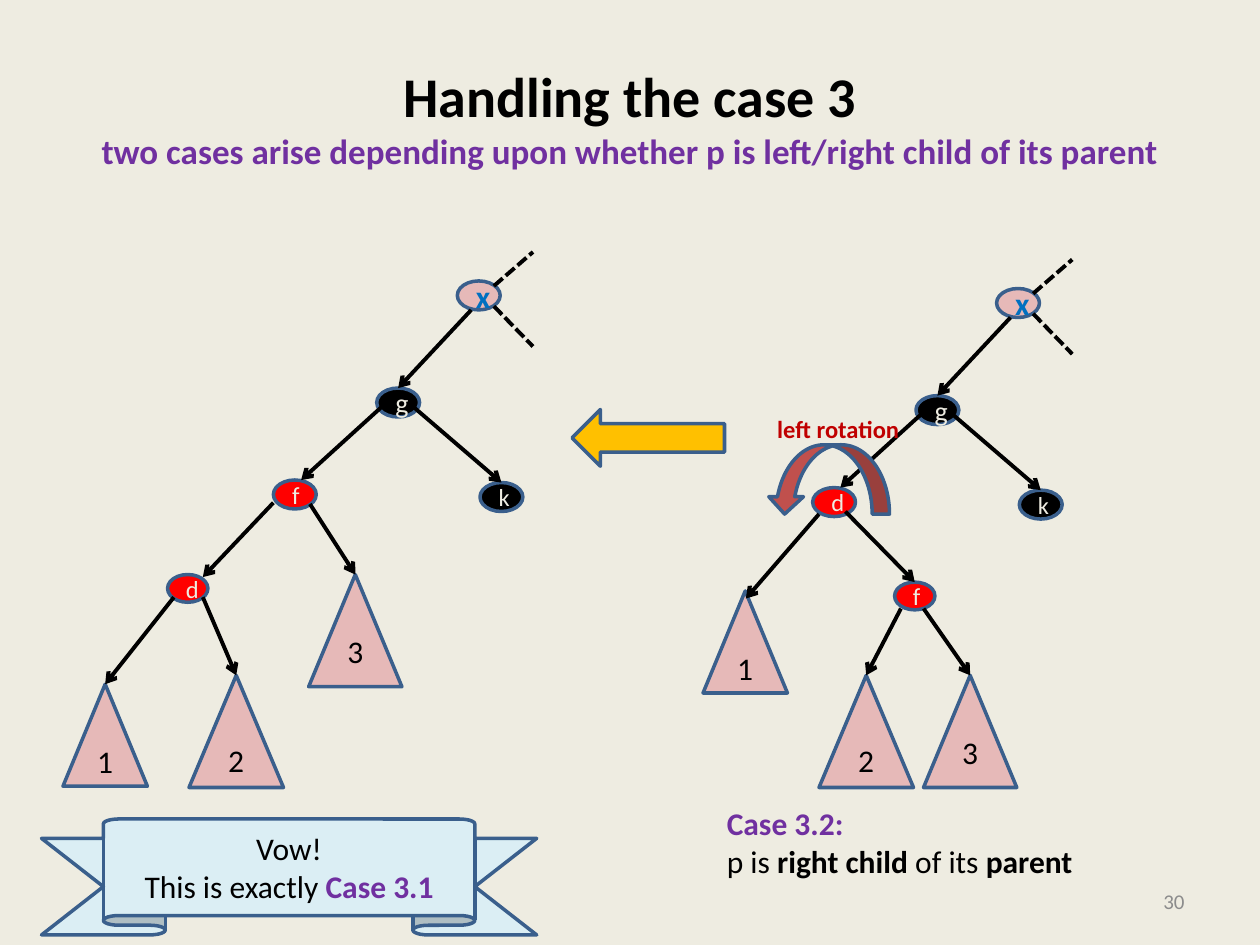
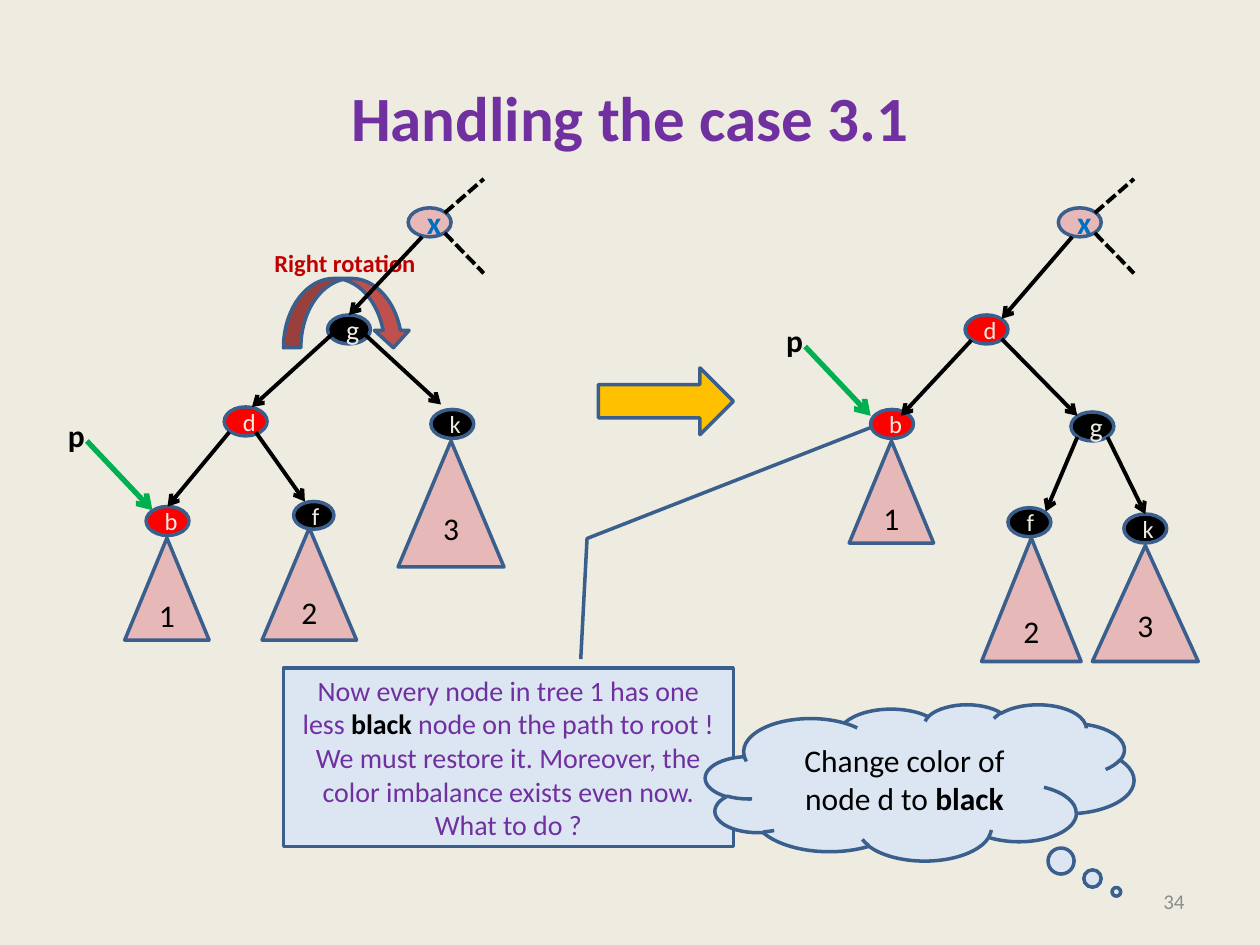
from lxml import etree
from pptx import Presentation
from pptx.dml.color import RGBColor
from pptx.enum import dml, shapes, text
from pptx.oxml.ns import qn
from pptx.util import Inches, Pt

COLORS = {
    "background": "EEECE1", "outline": "3A5F8C", "ink": "000000",
    "red": "FF0000", "pink": "E6B9B8", "purple": "7030A0",
    "root": "0070C0", "pointer": "00B050", "arrow": "FFC000",
    "rotation": "C0504D", "rotation label": "C00000",
    "ribbon": "DBEEF4", "callout": "DCE6F2", "number": "8C8C8C",
}
SHAPE = shapes.MSO_SHAPE
CENTER, LEFT, RIGHT = text.PP_ALIGN.CENTER, text.PP_ALIGN.LEFT, text.PP_ALIGN.RIGHT
MIDDLE, TOP = text.MSO_ANCHOR.MIDDLE, text.MSO_ANCHOR.TOP
NODE_SIZE = (0.34, 0.23)


def color(name):
    return RGBColor.from_string(COLORS[name])


def run(words, size=18, ink="ink", bold=False):
    return words, {"name": "Calibri", "size": Pt(size), "bold": bold}, ink


# Text: a list of paragraphs, each a list of runs; None breaks the line
def write(shape, paragraphs, align=CENTER, anchor=MIDDLE, wrap=True):
    frame = shape.text_frame
    frame.word_wrap = wrap
    frame.vertical_anchor = anchor
    for index, runs in enumerate(paragraphs):
        paragraph = frame.add_paragraph() if index else frame.paragraphs[0]
        paragraph.alignment = align
        for item in runs:
            if item is None:
                paragraph.add_line_break()
                continue
            words, values, ink = item
            piece = paragraph.add_run()
            piece.text = words
            for name, value in values.items():
                setattr(piece.font, name, value)
            piece.font.color.rgb = color(ink)


def add_text(slide, box, paragraphs, **layout):
    write(slide.shapes.add_textbox(*map(Inches, box)), paragraphs, **layout)


def add_label(slide, box, paragraphs):
    add_text(slide, box, paragraphs, align=LEFT, anchor=TOP, wrap=False)


def add_figure(slide, kind, box, fill, paragraphs=(), adjustments=()):
    shape = slide.shapes.add_shape(kind, *map(Inches, box))
    shape.shadow.inherit = False
    shape.fill.solid()
    shape.fill.fore_color.rgb = color(fill)
    shape.line.color.rgb = color("outline")
    shape.line.width = Pt(2)
    for index, value in enumerate(adjustments):
        shape.adjustments[index] = value
    write(shape, paragraphs)
    return shape


# Tree parts
def add_node(slide, label, left, top, fill, size=NODE_SIZE):
    if label == "x":
        words = run(label, 18, "root", True)
    else:
        words = run(label, 16 if label == "g" else 14, "background")
    return add_figure(slide, SHAPE.OVAL, (left, top, *size), fill, [[words]])


def add_subtree(slide, label, *box):
    shape = add_figure(slide, SHAPE.ISOSCELES_TRIANGLE, box, "pink", [[run(label)]])
    if label == "3":
        shape.text_frame.margin_bottom = Inches(0.17)
    return shape


def add_edge(slide, start, end, ink="ink", width=2.25, dashed=False):
    """Draw a line to a point, or to the top of a shape."""
    to_point = isinstance(end, tuple)
    edge = slide.shapes.add_connector(
        shapes.MSO_CONNECTOR.STRAIGHT, *map(Inches, start + (end if to_point else start)))
    if not to_point:
        edge.end_connect(end, 0)
    edge.line.color.rgb = color(ink)
    edge.line.width = Pt(width)
    if dashed:
        edge.line.dash_style = dml.MSO_LINE.SQUARE_DOT
    else:
        etree.SubElement(edge.line._get_or_add_ln(), qn("a:tailEnd"), type="arrow")
    etree.SubElement(edge._element.spPr, qn("a:effectLst"))


def add_root(slide, left, top):
    add_node(slide, "x", left, top, "pink")
    for start, end in ((0.04, -0.23), (0.2, 0.52)):
        add_edge(slide, (left + 0.29, top + start), (left + 0.6, top + end), dashed=True)


def add_upper_tree(slide, left, top, child, k_end=None):
    """Root x, its child g, and g's children: a red node and k."""
    add_root(slide, left, top)
    g = add_node(slide, "g", left - 0.64, top + 0.85, "ink")
    add_node(slide, child, left - 1.46, top + 1.58, "red")
    k = add_node(slide, "k", left + 0.18, top + 1.6, "ink")
    add_edge(slide, (left + 0.11, top + 0.23), g)
    add_edge(slide, (left - 0.59, top + 0.99), (left - 1.24, top + 1.58))
    add_edge(slide, (left - 0.36, top + 0.99), k_end or k)


def add_pointer(slide, left, top):
    add_edge(slide, (left + 0.25, top + 0.25), (left + 0.77, top + 0.8), "pointer", 3)
    add_label(slide, (left, top, 0.34, 0.4), [[run("p", bold=True)]])


def add_rotation(slide, words, arrow_box, label_box, flipped=False):
    arrow = add_figure(slide, SHAPE.CURVED_DOWN_ARROW, arrow_box, "rotation")
    if flipped:
        arrow._element.spPr.find(qn("a:xfrm")).set("flipH", "1")
    add_label(slide, label_box, [[run(words, 14, "rotation label", True)]])


def add_slide(presentation, title, number):
    slide = presentation.slides.add_slide(presentation.slide_layouts[6])
    slide.background.fill.solid()
    slide.background.fill.fore_color.rgb = color("background")
    add_text(slide, (0.5, 0.3, 9, 1.25), [title])
    add_text(slide, (7.17, 6.95, 2.33, 0.4), [[run(number, 12, "number")]], align=RIGHT)
    return slide


def build_case_3(presentation):
    subtitle = "two cases arise depending upon whether p is left/right child of its parent"
    slide = add_slide(presentation, [run("Handling the case 3", 32, bold=True), None,
                                     run(subtitle, 20, "purple", True)], "30")
    add_label(slide, (5.67, 6.33, 2.97, 0.71), [
        [run("Case 3.2:", ink="purple", bold=True)],
        [run("p is "), run("right child ", bold=True), run("of its "),
         run("parent", bold=True)]])
    add_figure(slide, SHAPE.LEFT_ARROW, (4.54, 3.25, 1.21, 0.45), "arrow")

    # Tree after the rotation
    add_upper_tree(slide, 3.63, 2.23, "f")
    add_node(slide, "d", 1.33, 4.56, "red", (0.32, 0.22))
    tree_1 = add_subtree(slide, "1", 0.5, 5.43, 0.67, 0.81)
    tree_2 = add_subtree(slide, "2", 1.5, 5.36, 0.75, 0.89)
    tree_3 = add_subtree(slide, "3", 2.45, 4.56, 0.74, 0.89)
    for start, end in (((2.17, 3.99), (1.61, 4.58)), ((1.61, 4.74), tree_2),
                       ((2.46, 4), tree_3), ((1.38, 4.74), tree_1)):
        add_edge(slide, start, end)

    add_figure(slide, SHAPE.UP_RIBBON, (0.33, 6.5, 3.93, 0.92), "ribbon", [
        [run("Vow!")],
        [run("This is exactly "), run("Case 3.1", ink="purple", bold=True)],
    ], (0.167, 0.75))

    # Tree before the rotation
    add_upper_tree(slide, 7.91, 2.29, "d")
    f = add_node(slide, "f", 7.1, 4.62, "red", (0.32, 0.22))
    add_subtree(slide, "1", 5.58, 4.69, 0.67, 0.81)
    tree_2 = add_subtree(slide, "2", 6.5, 5.36, 0.75, 0.89)
    tree_3 = add_subtree(slide, "3", 7.33, 5.36, 0.74, 0.89)
    for start, end in (((6.71, 4.06), f), ((6.5, 4.08), (5.92, 4.75)),
                       ((7.15, 4.83), tree_2), ((7.33, 4.83), tree_3)):
        add_edge(slide, start, end)
    add_rotation(slide, "left rotation", (6.09, 3.53, 0.97, 0.55),
                 (6.07, 3.24, 1.18, 0.34), flipped=True)


def build_case_3_1(presentation):
    slide = add_slide(presentation,
                      [run("Handling the case 3.1", 36, "purple", True)], "34")
    add_figure(slide, SHAPE.RIGHT_ARROW, (4.75, 2.92, 1.07, 0.53), "arrow")
    add_rotation(slide, "Right rotation", (2.25, 2.21, 1.01, 0.55),
                 (2.08, 1.92, 1.33, 0.34))

    # Tree before the rotation
    add_upper_tree(slide, 3.24, 1.65, "d", k_end=(3.5, 3.21))
    b = add_node(slide, "b", 1.16, 4.02, "red")
    add_subtree(slide, "2", 2.08, 4.19, 0.75, 0.89)
    add_subtree(slide, "1", 0.99, 4.27, 0.67, 0.81)
    add_subtree(slide, "3", 3.16, 3.5, 0.84, 1)
    add_node(slide, "f", 2.33, 3.98, "ink", (0.32, 0.22))
    add_edge(slide, (1.82, 3.43), b)
    add_edge(slide, (2.03, 3.43), (2.42, 3.98))

    # Remarks
    add_figure(slide, SHAPE.LINE_CALLOUT_2, (2.25, 5.3, 3.57, 1.42), "callout", [[
        run("Now every node in tree 1 has one less ", 16, "purple"),
        run("black", 16, bold=True),
        run(" node on the path to root ! We must restore it. Moreover, the color "
            "imbalance exists even now. What to do ?", 16, "purple"),
    ]], (-0.049, 0.661, -0.723, 0.675, -1.363, 1.326))
    add_figure(slide, SHAPE.CLOUD_CALLOUT, (5.6, 5.59, 3.4, 1.24), "callout", [
        [run("Change color of node d to "), run("black", bold=True)]], (0.459, 0.7))
    add_pointer(slide, 0.44, 3.25)

    # Tree after the rotation
    add_root(slide, 8.4, 1.65)
    for label, left, top, fill in (("g", 8.5, 3.27, "ink"), ("d", 7.66, 2.5, "red"),
                                   ("b", 6.91, 3.25, "red"), ("f", 8, 4.03, "ink")):
        add_node(slide, label, left, top, fill)
    k = add_node(slide, "k", 8.92, 4.08, "ink")
    add_subtree(slide, "1", 6.74, 3.5, 0.67, 0.81)
    add_subtree(slide, "2", 7.79, 4.27, 0.79, 0.98)
    add_subtree(slide, "3", 8.67, 4.33, 0.84, 0.92)
    for start, end in (((8.51, 1.88), (7.95, 2.53)), ((7.71, 2.7), (7.15, 3.3)),
                       ((7.95, 2.69), (8.55, 3.3)), ((8.55, 3.47), (8.3, 4.06)),
                       ((8.79, 3.47), k)):
        add_edge(slide, start, end)
    add_pointer(slide, 6.14, 2.5)


def main():
    presentation = Presentation()
    presentation.slide_width, presentation.slide_height = Inches(10), Inches(7.5)
    build_case_3(presentation)
    build_case_3_1(presentation)
    presentation.save("out.pptx")


if __name__ == "__main__":
    main()
